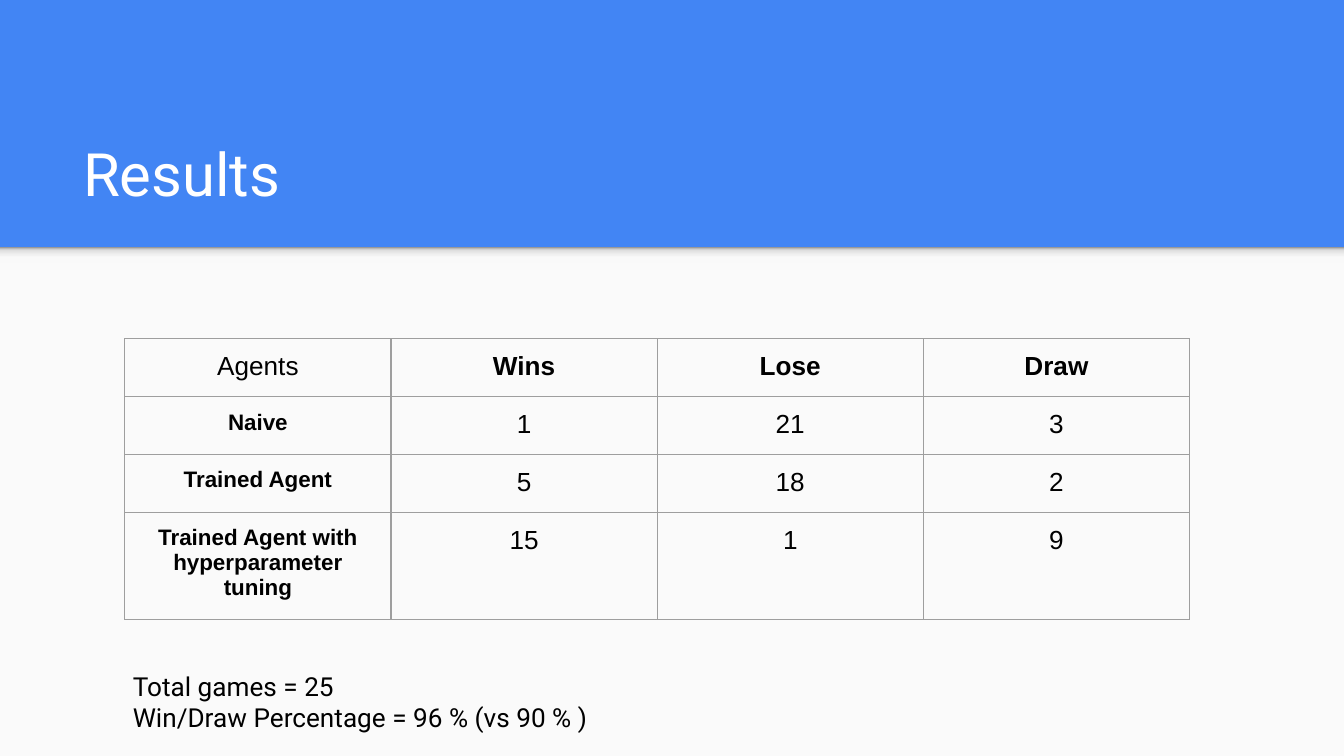
from dataclasses import dataclass

from lxml.etree import SubElement
from pptx import Presentation
from pptx.dml.color import RGBColor
from pptx.enum.shapes import MSO_SHAPE
from pptx.enum.text import MSO_ANCHOR, PP_ALIGN
from pptx.oxml.ns import qn
from pptx.util import Cm, Pt


@dataclass(frozen=True)
class Theme:
    header: str = "4285F4"
    panel: str = "FAFAFA"
    title: str = "FFFFFF"
    text: str = "000000"
    border: str = "9E9E9E"
    shadow: tuple = ((0, "F9F9F9"), (36, "F9F9F9"), (80, "DEDEDE"), (100, "999999"))
    text_font: str = "Roboto"
    table_font: str = "Arial"
    title_size: int = 32
    body_size: int = 14
    label_size: int = 12
    border_width: float = 0.75
    inset: float = 0.25


class PageBuilder:
    def __init__(self, page, theme):
        self.page = page
        self.theme = theme

    def background(self, color):
        fill = self.page.background.fill
        fill.solid()
        fill.fore_color.rgb = RGBColor.from_string(color)

    def rectangle(self, left, top, width, height, color):
        shape = self.page.shapes.add_shape(
            MSO_SHAPE.RECTANGLE, Cm(left), Cm(top), Cm(width), Cm(height))
        shape.shadow.inherit = False
        shape.line.fill.background()
        shape.fill.solid()
        shape.fill.fore_color.rgb = RGBColor.from_string(color)
        return shape

    def shadow_strip(self, left, top, width, height):
        strip = self.rectangle(left, top, width, height, self.theme.panel)
        strip.fill.gradient()
        strip.fill.gradient_angle = 90
        stops = strip.fill._fill._gradFill.find(qn("a:gsLst"))
        for stop in list(stops):
            stops.remove(stop)
        for position, color in self.theme.shadow:
            stop = SubElement(stops, qn("a:gs"), pos=str(position * 1000))
            SubElement(stop, qn("a:srgbClr"), val=color)

    def format_text(self, frame, font, size, color, bold=False, align=PP_ALIGN.LEFT):
        for paragraph in frame.paragraphs:
            paragraph.alignment = align
            for span in paragraph.runs:
                span.font.name = font
                span.font.size = Pt(size)
                span.font.bold = bold
                span.font.color.rgb = RGBColor.from_string(color)

    def set_insets(self, target):
        target.margin_left = target.margin_right = Cm(self.theme.inset)
        target.margin_top = target.margin_bottom = Cm(self.theme.inset)

    def text(self, left, top, width, height, content, size, color,
             anchor=MSO_ANCHOR.TOP):
        box = self.page.shapes.add_textbox(Cm(left), Cm(top), Cm(width), Cm(height))
        frame = box.text_frame
        frame.word_wrap = True
        frame.vertical_anchor = anchor
        self.set_insets(frame)
        frame.text = content
        self.format_text(frame, self.theme.text_font, size, color)

    def cell_borders(self, cell):
        properties = cell._tc.get_or_add_tcPr()
        for side in ("lnL", "lnR", "lnT", "lnB"):
            line = SubElement(properties, qn(f"a:{side}"),
                              w=str(Pt(self.theme.border_width)))
            fill = SubElement(line, qn("a:solidFill"))
            SubElement(fill, qn("a:srgbClr"), val=self.theme.border)

    def table(self, left, top, column_width, row_height, rows):
        theme = self.theme
        row_count, column_count = len(rows), len(rows[0])
        table = self.page.shapes.add_table(
            row_count, column_count, Cm(left), Cm(top),
            Cm(column_width * column_count), Cm(row_height * row_count)).table
        table.first_row = table.horz_banding = False
        for row_index, values in enumerate(rows):
            for column_index, value in enumerate(values):
                cell = table.cell(row_index, column_index)
                self.set_insets(cell)
                self.cell_borders(cell)
                cell.fill.background()
                cell.text_frame.text = value
                is_header, is_label = row_index == 0, column_index == 0
                size = theme.label_size if is_label and not is_header else theme.body_size
                self.format_text(cell.text_frame, theme.table_font, size, theme.text,
                                 bold=is_header != is_label, align=PP_ALIGN.CENTER)


def main():
    theme = Theme()
    width, height, header_height = 25.4, 14.29, 4.67
    deck = Presentation()
    deck.slide_width, deck.slide_height = Cm(width), Cm(height)
    builder = PageBuilder(deck.slides.add_slide(deck.slide_layouts[6]), theme)

    builder.background(theme.header)
    builder.rectangle(0, header_height, width, height - header_height, theme.panel)
    builder.shadow_strip(0, header_height, width, 0.3)
    builder.text(1.32, 2.06, 22.83, 2.13, "Results",
                 theme.title_size, theme.title, MSO_ANCHOR.BOTTOM)
    builder.table(2.36, 6.4, 5.03, 1.07, [
        ("Agents", "Wins", "Lose", "Draw"),
        ("Naive", "1", "21", "3"),
        ("Trained Agent", "5", "18", "2"),
        ("Trained Agent with hyperparameter tuning", "15", "1", "9"),
    ])
    builder.text(2.26, 12.42, 14, 1.7,
                 "Total games = 25\nWin/Draw Percentage = 96 % (vs 90 % )",
                 theme.body_size, theme.text)
    deck.save("out.pptx")


if __name__ == "__main__":
    main()
